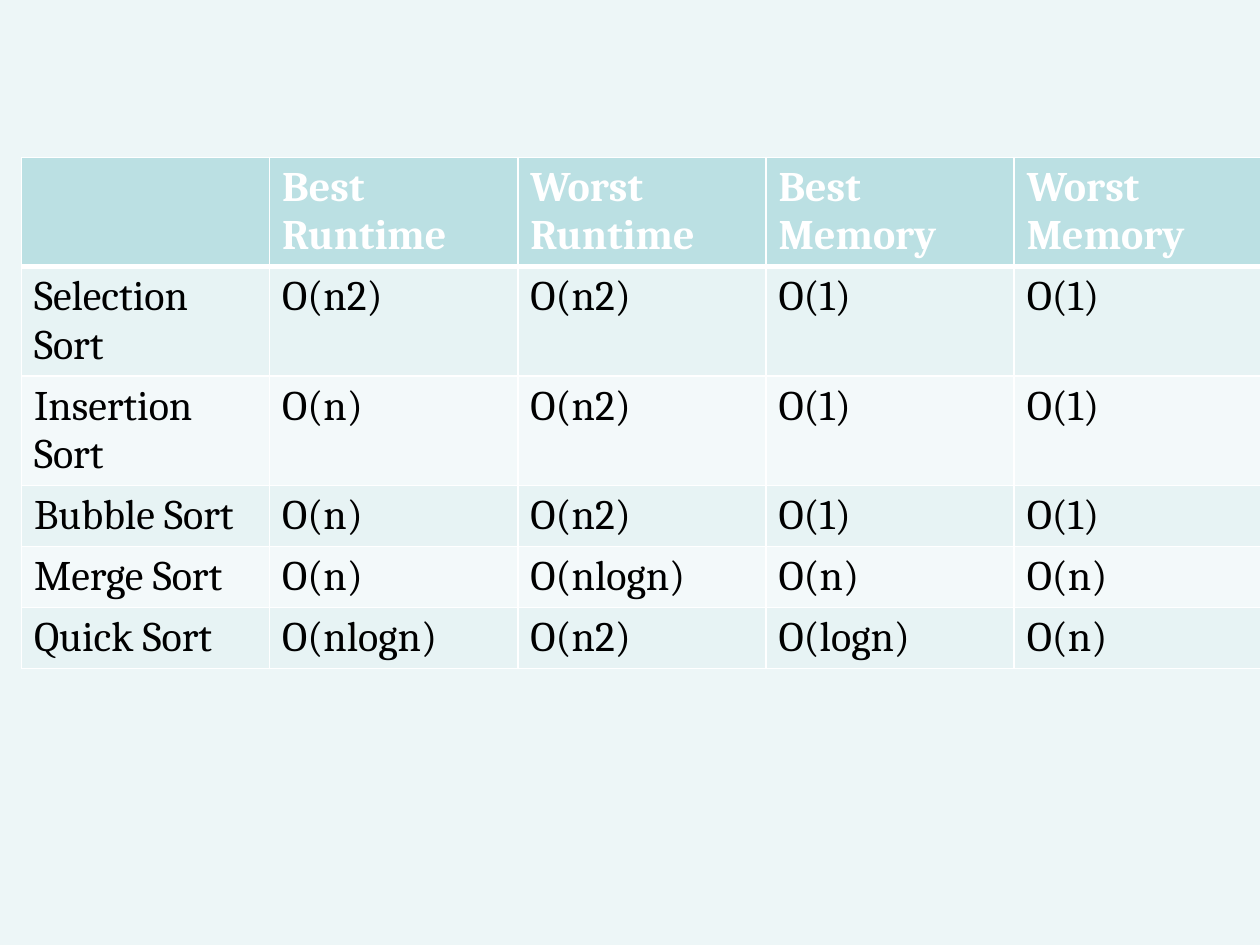
from dataclasses import dataclass

from lxml.etree import SubElement
from pptx import Presentation
from pptx.dml.color import RGBColor
from pptx.oxml.ns import qn
from pptx.table import _Cell
from pptx.util import Inches, Pt


@dataclass(frozen=True)
class Theme:
    font: str = "Cambria"
    size: int = 24
    background: str = "EDF6F7"
    header: str = "BBE0E3"
    bands: tuple[str, str] = ("E7F3F4", "F3F9FA")
    header_text: str = "FFFFFF"
    body_text: str = "000000"
    border: str = "FFFFFF"
    border_width: int = 1
    header_rule: int = 3


@dataclass(frozen=True)
class Row:
    height: float
    texts: tuple[str, ...]


THEME = Theme()
COLUMN_WIDTH = 1.97
# Heights are minimums: rows grow to fit their text.
ROWS = (
    Row(0.41, ("", "Best Runtime", "Worst Runtime", "Best Memory", "Worst Memory")),
    Row(0.41, ("Selection Sort", "O(n2)", "O(n2)", "O(1)", "O(1)")),
    Row(0.41, ("Insertion Sort", "O(n)", "O(n2)", "O(1)", "O(1)")),
    Row(0.14, ("Bubble Sort", "O(n)", "O(n2)", "O(1)", "O(1)")),
    Row(0.26, ("Merge Sort", "O(n)", "O(nlogn)", "O(n)", "O(n)")),
    Row(0.14, ("Quick Sort", "O(nlogn)", "O(n2)", "O(logn)", "O(n)")),
)


def set_borders(cell: _Cell, top: int, bottom: int) -> None:
    """Draw all four borders; they must precede the fill in the cell's XML."""
    tc_pr = cell._tc.get_or_add_tcPr()
    side = THEME.border_width
    for tag, width in (("lnL", side), ("lnR", side), ("lnT", top), ("lnB", bottom)):
        ln = SubElement(tc_pr, qn(f"a:{tag}"), w=str(Pt(width)))
        fill = SubElement(ln, qn("a:solidFill"))
        SubElement(fill, qn("a:srgbClr"), val=THEME.border)


def format_cell(cell: _Cell, text: str, row: int) -> None:
    is_header = row == 0
    set_borders(
        cell,
        top=THEME.header_rule if row == 1 else THEME.border_width,
        bottom=THEME.header_rule if is_header else THEME.border_width,
    )
    cell.fill.solid()
    fill = THEME.header if is_header else THEME.bands[(row - 1) % 2]
    cell.fill.fore_color.rgb = RGBColor.from_string(fill)
    cell.text_frame.text = text
    for r in cell.text_frame.paragraphs[0].runs:
        r.font.name = THEME.font
        r.font.size = Pt(THEME.size)
        r.font.bold = is_header
        color = THEME.header_text if is_header else THEME.body_text
        r.font.color.rgb = RGBColor.from_string(color)


def main() -> None:
    prs = Presentation()
    prs.slide_width, prs.slide_height = Inches(10), Inches(7.5)
    slide = prs.slides.add_slide(prs.slide_layouts.get_by_name("Blank"))
    slide.background.fill.solid()
    slide.background.fill.fore_color.rgb = RGBColor.from_string(THEME.background)

    height = Inches(2.42)
    frame = slide.shapes.add_table(
        len(ROWS), len(ROWS[0].texts), Inches(0.17), Inches(1.25), Inches(9.83), height
    )
    table = frame.table
    for column in table.columns:
        column.width = Inches(COLUMN_WIDTH)
    for i, row in enumerate(ROWS):
        table.rows[i].height = Inches(row.height)
        for j, text in enumerate(row.texts):
            format_cell(table.cell(i, j), text, i)
    frame.height = height

    prs.save("out.pptx")


if __name__ == "__main__":
    main()
